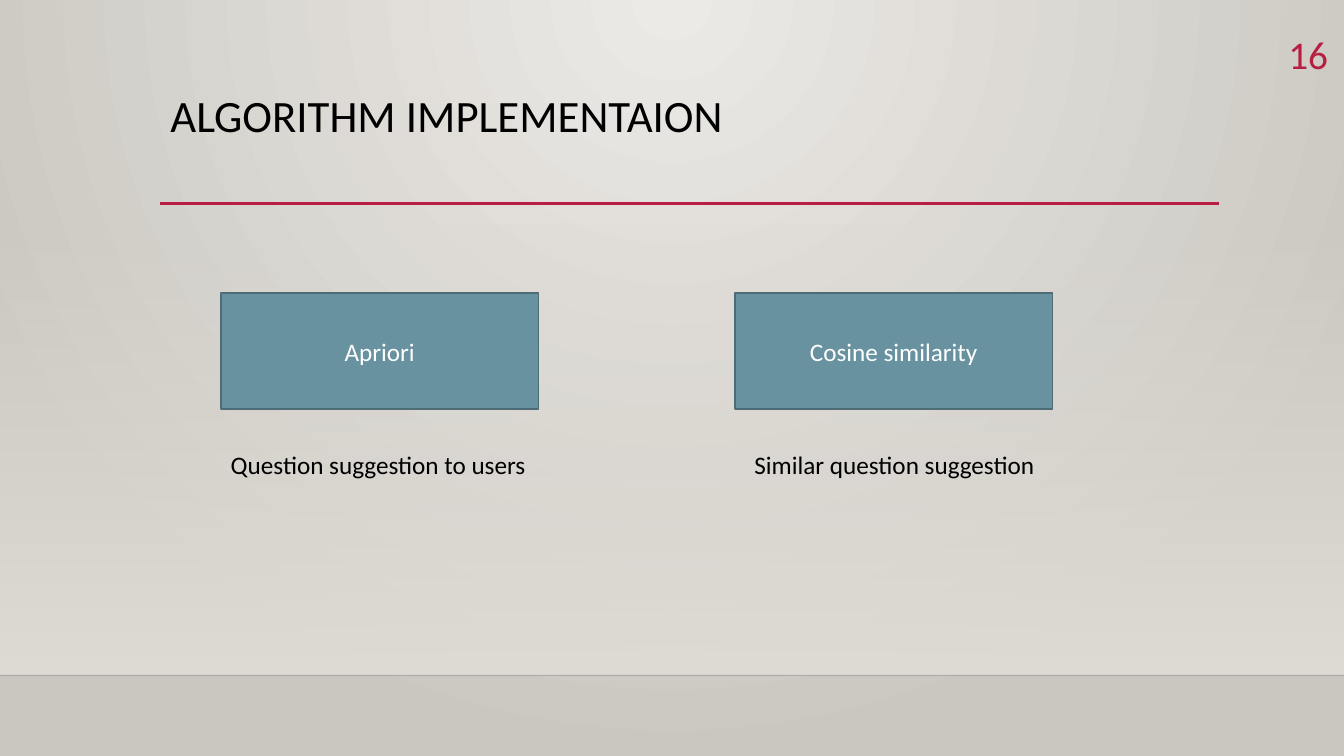
from collections import namedtuple

from lxml.etree import SubElement
from pptx import Presentation
from pptx.dml.color import RGBColor
from pptx.enum.shapes import MSO_CONNECTOR, MSO_SHAPE
from pptx.enum.text import MSO_ANCHOR, PP_ALIGN
from pptx.oxml.ns import qn
from pptx.util import Inches, Pt

FONT = "Calibri"
BLACK = RGBColor(0x00, 0x00, 0x00)
WHITE = RGBColor(0xFF, 0xFF, 0xFF)
CRIMSON = RGBColor(0xB7, 0x1E, 0x42)
TEAL = RGBColor(0x68, 0x92, 0xA0)
DARK_TEAL = RGBColor(0x4D, 0x6C, 0x76)
SAND = RGBColor(0xDF, 0xDB, 0xD5)
PALE_STONE = RGBColor(0xEC, 0xEA, 0xE7)
STONE = RGBColor(0xCA, 0xC7, 0xC1)
FLOOR_LINE = RGBColor(0x00, 0x00, 0x01)

WIDTH, HEIGHT = Inches(13.33), Inches(7.5)
CARD_PITCH = 38.25
CARDS = [  # name, purpose, caption indent as a share of the card
    ("Apriori", "Question suggestion to users", 0),
    ("Cosine similarity", "Similar question suggestion", 0.03),
]

Box = namedtuple("Box", "left top width height")


def share_box(left, top, width, height):
    """Turn percentages of the slide's size into a box of lengths."""
    return Box(int(WIDTH * left / 100), int(HEIGHT * top / 100),
               int(WIDTH * width / 100), int(HEIGHT * height / 100))


def set_alpha(color_parent, percent):
    """Set the opacity of the first RGB colour under an element."""
    color = next(color_parent.iter(qn("a:srgbClr")))
    SubElement(color, qn("a:alpha"), val=str(percent * 1000))


def set_gradient(fill, first, last):
    """Give a fill a gradient of two colours."""
    fill.gradient()
    for stop, color in zip(fill.gradient_stops, (first, last)):
        stop.color.rgb = color


def add_text(text_frame, text, size, color, alignment=PP_ALIGN.LEFT):
    """Write one formatted run into the first paragraph of a frame."""
    paragraph = text_frame.paragraphs[0]
    paragraph.alignment = alignment
    run = paragraph.add_run()
    run.text = text
    run.font.name = FONT
    run.font.size = Pt(size)
    run.font.color.rgb = color
    return paragraph


def add_text_box(slide, box, *text_format):
    """Add a wrapping text box."""
    text_box = slide.shapes.add_textbox(*box)
    text_box.text_frame.word_wrap = True
    add_text(text_box.text_frame, *text_format)


def add_rule(slide, box, color, weight):
    """Draw a level line along the top of the box."""
    rule = slide.shapes.add_connector(
        MSO_CONNECTOR.STRAIGHT, box.left, box.top, box.left + box.width, box.top)
    rule.line.color.rgb = color
    rule.line.width = Pt(weight)
    SubElement(rule._element.spPr, qn("a:effectLst"))
    return rule


def add_backdrop(slide, wall_box):
    """Paint the radial background, the fading wall and the floor line."""
    set_gradient(slide.background.fill, PALE_STONE, STONE)
    gradient = next(slide._element.iter(qn("a:gradFill")))
    gradient.remove(gradient.find(qn("a:lin")))
    circle = SubElement(gradient, qn("a:path"), path="circle")
    SubElement(circle, qn("a:fillToRect"), l="43000", t="0", r="43000", b="100000")

    wall = slide.shapes.add_shape(MSO_SHAPE.RECTANGLE, *wall_box)
    wall.shadow.inherit = False
    wall.line.fill.background()
    set_gradient(wall.fill, SAND, SAND)
    wall.fill.gradient_angle = 270
    set_alpha(wall._element.spPr, 0)

    floor_box = wall_box._replace(top=wall_box.top + wall_box.height)
    floor = add_rule(slide, floor_box, FLOOR_LINE, 1)
    set_alpha(floor._element.spPr, 20)


def add_heading(slide, box, text):
    """Place the title in the box, with a rule along its foot."""
    add_rule(slide, box._replace(top=box.top + box.height), CRIMSON, 2.5)
    title = slide.shapes.title
    title.left, title.top, title.width, title.height = box
    title.text_frame.word_wrap = True
    title.text_frame.vertical_anchor = MSO_ANCHOR.TOP
    add_text(title.text_frame, text, 32, BLACK).line_spacing = 0.9


def add_card(slide, box, name, purpose, indent):
    """Draw an algorithm's card in the box and its purpose below."""
    card = slide.shapes.add_shape(MSO_SHAPE.RECTANGLE, *box)
    card.shadow.inherit = False
    card.fill.solid()
    card.fill.fore_color.rgb = TEAL
    card.line.color.rgb = DARK_TEAL
    card.line.width = Pt(1.25)
    card.text_frame.vertical_anchor = MSO_ANCHOR.MIDDLE
    add_text(card.text_frame, name, 18, WHITE, PP_ALIGN.CENTER)

    caption_box = Box(box.left + int(box.width * indent), box.top + int(box.height * 1.3),
                      int(box.width * 1.04), int(box.height * 0.35))
    add_text_box(slide, caption_box, purpose, 18, BLACK)


def build_algorithm_slide(presentation):
    """Build the slide that names the algorithms."""
    slide = presentation.slides.add_slide(presentation.slide_layouts[5])
    add_backdrop(slide, share_box(0, 29.5, 100, 59.85))
    add_heading(slide, share_box(11.93, 11.73, 78.8, 15.2), "ALGORITHM IMPLEMENTAION")
    add_text_box(slide, share_box(92.87, 3.33, 6.68, 7.33), "16", 28, CRIMSON, PP_ALIGN.RIGHT)
    for index, card in enumerate(CARDS):
        add_card(slide, share_box(16.43 + index * CARD_PITCH, 38.8, 23.63, 15.33), *card)


presentation = Presentation()
presentation.slide_width, presentation.slide_height = WIDTH, HEIGHT
build_algorithm_slide(presentation)
presentation.save("out.pptx")
